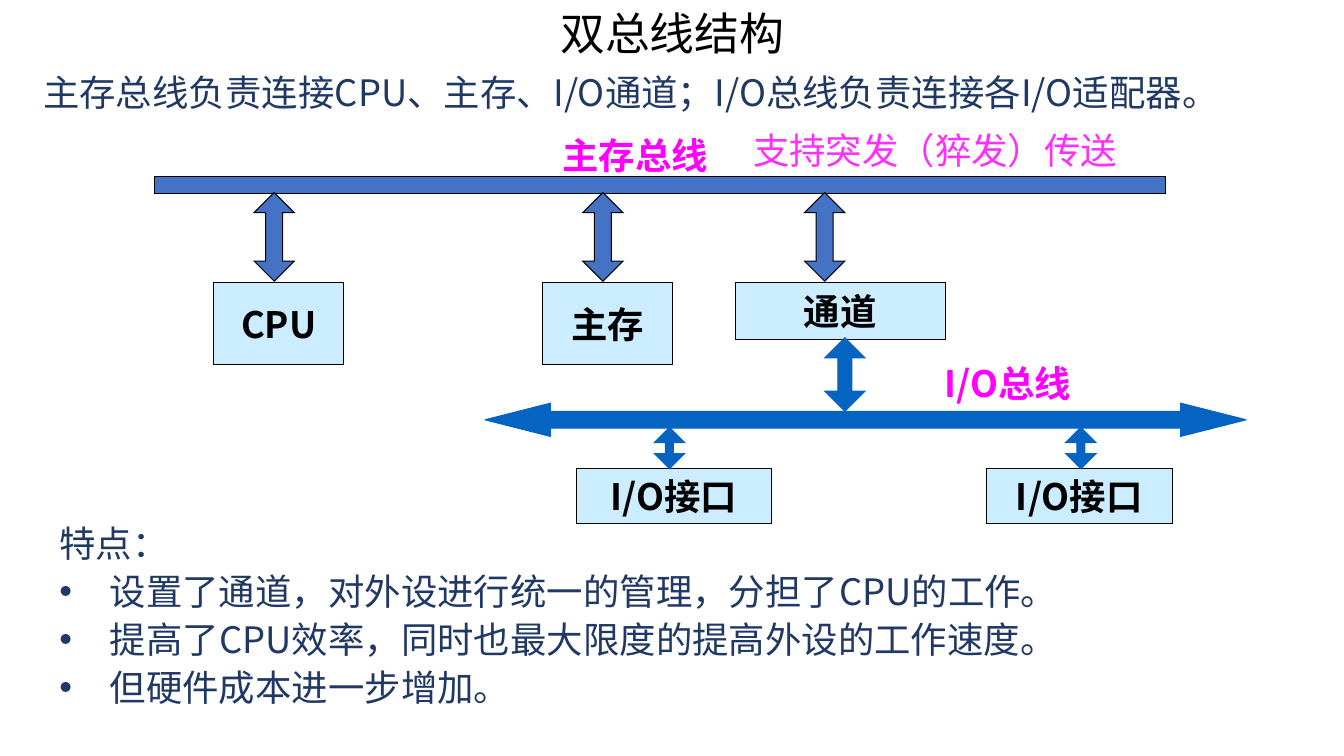
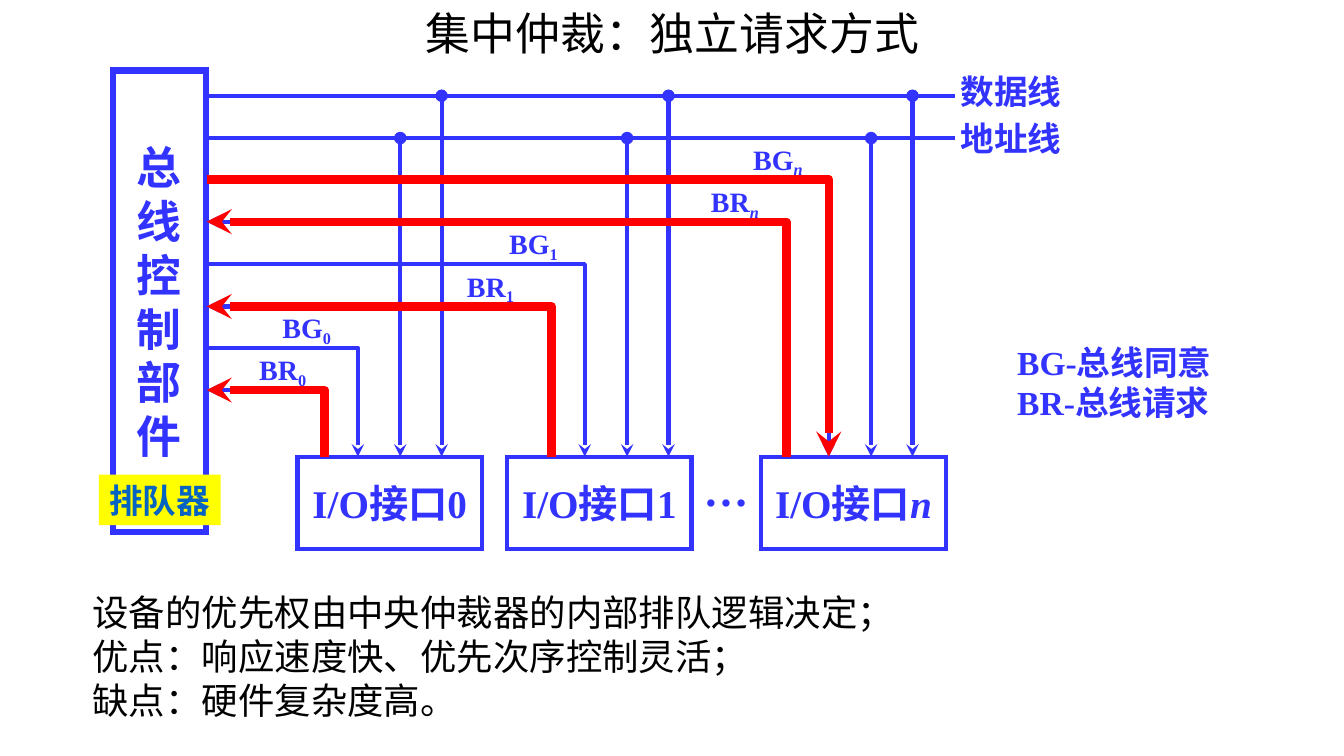
from lxml import etree
from pptx import Presentation, util as u
from pptx.dml.color import RGBColor
from pptx.enum import shapes as kinds, text as t
from pptx.oxml.ns import qn

PX = 9144  # 100 px to the inch
SANS, SERIF = "Noto Sans CJK SC", "Times New Roman"
BLACK, NAVY, BLUE, RED = "000000", "203864", "3333FF", "FF0000"
STEEL, OCEAN, ICE = "4472C4", "0563C1", "CCECFF"
MAGENTA, PINK, YELLOW = "FF00FF", "FF2EFF", "FFFF00"
CENTER = t.PP_ALIGN.CENTER
TOP, MIDDLE = t.MSO_ANCHOR.TOP, t.MSO_ANCHOR.MIDDLE
SHAPE = kinds.MSO_SHAPE


def px(*lengths):
    return [u.Emu(n * PX) for n in lengths]


def rgb(color):
    return RGBColor.from_string(color)


def child(parent, tag, **attributes):
    return etree.SubElement(parent, qn(tag), attributes)


def stroke(line, color, width, join="miter", head=None, tail=None):
    line.color.rgb = rgb(color)
    line.width = u.Pt(width)
    ln = line.fill._xPr
    child(ln, "a:" + join)
    for tag, end in (("a:headEnd", head), ("a:tailEnd", tail)):
        if end:
            child(ln, tag, type=end)


def write(frame, paragraphs, size=26, font=SANS, color=BLACK, bold=False,
          align=None, anchor=TOP, wrap=True, inset=None, spacing=None,
          bullets_from=None):
    """Fill a frame; a paragraph is a string or a list of (text, traits)."""
    frame.word_wrap = wrap
    frame.vertical_anchor = anchor
    if inset is not None:
        frame.margin_left = frame.margin_right = inset
        frame.margin_top = frame.margin_bottom = inset
    for i, content in enumerate(paragraphs):
        paragraph = frame.paragraphs[0] if i == 0 else frame.add_paragraph()
        if bullets_from is not None and i >= bullets_from:
            properties = paragraph._p.get_or_add_pPr()
            properties.set("marL", str(50 * PX))
            properties.set("indent", str(-50 * PX))
            child(properties, "a:buFont", typeface="Arial")
            child(properties, "a:buChar", char="•")
        if align is not None:
            paragraph.alignment = align
        if spacing:
            paragraph.line_spacing = spacing
        for words, traits in [(content, "")] if isinstance(content, str) else content:
            run = paragraph.add_run()
            run.text = words
            run.font.size = u.Pt(size)
            run.font.bold = bold
            run.font.italic = "italic" in traits
            run.font.color.rgb = rgb(color)
            run.font.name = font
            properties = run._r.get_or_add_rPr()
            child(properties, "a:ea", typeface=SANS)
            if "sub" in traits:
                properties.set("baseline", "-20000")


def label(slide, box, *paragraphs, **fmt):
    write(slide.shapes.add_textbox(*px(*box)).text_frame, paragraphs, **fmt)


def block(slide, kind, box, fill=None, line=None, width=0.75, adjust=(),
          paragraphs=(), **fmt):
    shape = slide.shapes.add_shape(kind, *px(*box))
    shape.shadow.inherit = False
    if fill:
        shape.fill.solid()
        shape.fill.fore_color.rgb = rgb(fill)
    else:
        shape.fill.background()
    if line:
        stroke(shape.line, line, width)
    else:
        shape.line.fill.background()
    for i, value in enumerate(adjust):
        shape.adjustments[i] = value
    if paragraphs:
        write(shape.text_frame, paragraphs, anchor=MIDDLE, wrap=False, **fmt)


def wire(slide, start, end, head=None, tail=None):
    line = slide.shapes.add_connector(kinds.MSO_CONNECTOR.STRAIGHT, *px(*start, *end))
    stroke(line.line, BLUE, 3, "round", head, tail)
    child(line._element.spPr, "a:effectLst")


def elbow(slide, left, y, x, bottom, color, width, **ends):
    """Run right from the controller at height y, then down at x."""
    outline = slide.shapes.build_freeform(*px(left, y), scale=1.0)
    outline.add_line_segments([px(x, y), px(x, bottom)], close=False)
    path = outline.convert_to_shape()
    path.shadow.inherit = False
    path.fill.background()
    stroke(path.line, color, width, "round", **ends)


def new_slide(deck, title):
    slide = deck.slides.add_slide(deck.slide_layouts[6])
    label(slide, (337, 1, 660, 64), title, size=32, align=CENTER)
    return slide


def unit(slide, box, name):
    block(slide, SHAPE.FLOWCHART_PROCESS, box, ICE, BLACK,
          paragraphs=[name], bold=True, align=CENTER)


def double_arrow(slide, box, head, fill, line):
    block(slide, SHAPE.UP_DOWN_ARROW, box, fill, line, adjust=(0.5, head))


def memory_bus(slide, left, top):
    block(slide, SHAPE.RECTANGLE, (left, top, 1003, 17), STEEL, BLACK)
    units = (("CPU", 59, 129, 82, 99), ("主存", 385, 129, 82, 425),
             ("通道", 576, 209, 57, 645))
    for name, x, width, height, arrow_x in units:
        double_arrow(slide, (left + arrow_x, top + 16, 40, 88), 0.42, STEEL, BLACK)
        unit(slide, (left + x, top + 105, width, height), name)
    label(slide, (left + 395, top - 48, 166, 54), "主存总线",
          color=MAGENTA, bold=True, wrap=False)
    label(slide, (left + 584, top - 57, 389, 55), "支持突发（猝发）传送",
          color=PINK, spacing=1.1)


def io_bus(slide, left, top):
    block(slide, SHAPE.LEFT_RIGHT_ARROW, (left, top, 755, 33), OCEAN, OCEAN,
          adjust=(0.5, 1.97))
    for x, width, arrow_x in ((91, 193, 168), (497, 185, 576)):
        unit(slide, (left + x, top + 65, width, 54), "I/O接口")
        double_arrow(slide, (left + arrow_x, top + 24, 30, 41), 0.263, OCEAN, OCEAN)
    double_arrow(slide, (left + 337, top - 65, 40, 73), 0.352, OCEAN, OCEAN)
    label(slide, (left + 446, top - 47, 318, 54), "I/O总线", color=MAGENTA, bold=True)


def dual_bus_slide(deck):
    slide = new_slide(deck, "双总线结构")
    label(slide, (33, 60, 1263, 55),
          "主存总线负责连接CPU、主存、I/O通道；I/O总线负责连接各I/O适配器。",
          color=NAVY, spacing=1.1)
    memory_bus(slide, 153, 175)
    io_bus(slide, 481, 400)
    label(slide, (49, 508, 1232, 199), "特点：",
          "设置了通道，对外设进行统一的管理，分担了CPU的工作。",
          "提高了CPU效率，同时也最大限度的提高外设的工作速度。",
          "但硬件成本进一步增加。",
          color=NAVY, spacing=1.1, bullets_from=1)


def arbitration_diagram(slide, left, top):
    serif = dict(font=SERIF, color=BLUE, bold=True)
    bus_x, port_y = left + 93, top + 383
    data_y, address_y = top + 25, top + 67
    block(slide, SHAPE.RECTANGLE, (left, top, 92, 458), line=BLUE, width=4.5,
          paragraphs="总线控制部件", size=32, align=CENTER, **serif)
    for name, y, name_y in (("数据线", data_y, top - 5), ("地址线", address_y, top + 42)):
        wire(slide, (left + 91, y), (left + 835, y))
        label(slide, (left + 831, name_y, 121, 50), name, size=24, wrap=False, **serif)

    # index, style, box, request and grant lines, grant height, name places
    ports = (("0", "", 183, 210, 243, 275, 145, 168, False),
             ("1", "", 391, 435, 468, 192, 351, 393, False),
             ("n", "italic", 643, 668, 710, 108, 593, 635, True))
    highlights = []
    for index, style, box_x, request_x, grant_x, grant_y, br_x, bg_x, granted in ports:
        block(slide, SHAPE.RECTANGLE, (left + box_x, port_y, 183, 92), line=BLUE,
              width=3, paragraphs=[[("I/O接口", ""), (index, style)]],
              size=28, align=CENTER, **serif)
        signals = (("BG", grant_x, grant_y, bg_x, {"tail": "stealth"}, granted),
                   ("BR", request_x, grant_y + 42, br_x, {"head": "stealth"}, True))
        for name, x, y, name_x, ends, active in signals:
            route = (bus_x, top + y, left + x, port_y)
            elbow(slide, *route, BLUE, 3, **ends)
            if active:
                highlights.append((route, ends))
            label(slide, (left + name_x, top + y - 37, 92, 33),
                  [(name, ""), (index, style + " sub")], size=20, inset=0, **serif)
        for shift, y in ((42, address_y), (83, data_y)):
            x = left + grant_x + shift
            wire(slide, (x, y), (x, port_y), head="oval", tail="stealth")
    label(slide, (left + 576, port_y, 65, 63), "…", size=32, wrap=False, **serif)
    for route, ends in highlights:
        elbow(slide, *route, RED, 6, **ends)
    block(slide, SHAPE.RECTANGLE, (left - 14, top + 401, 121, 50), YELLOW,
          paragraphs=["排队器"], size=24, font=SERIF, color=OCEAN, bold=True,
          align=CENTER)
    label(slide, (left + 887, top + 264, 258, 90), "BG-总线同意", "BR-总线请求",
          size=24, **serif)


def arbitration_slide(deck):
    slide = new_slide(deck, "集中仲裁：独立请求方式")
    arbitration_diagram(slide, 112, 70)
    label(slide, (82, 581, 1213, 141),
          "设备的优先权由中央仲裁器的内部排队逻辑决定；",
          "优点：响应速度快、优先次序控制灵活；",
          "缺点：硬件复杂度高。")


def main():
    deck = Presentation()
    deck.slide_width, deck.slide_height = px(1333, 750)
    dual_bus_slide(deck)
    arbitration_slide(deck)
    deck.save("out.pptx")


if __name__ == "__main__":
    main()
